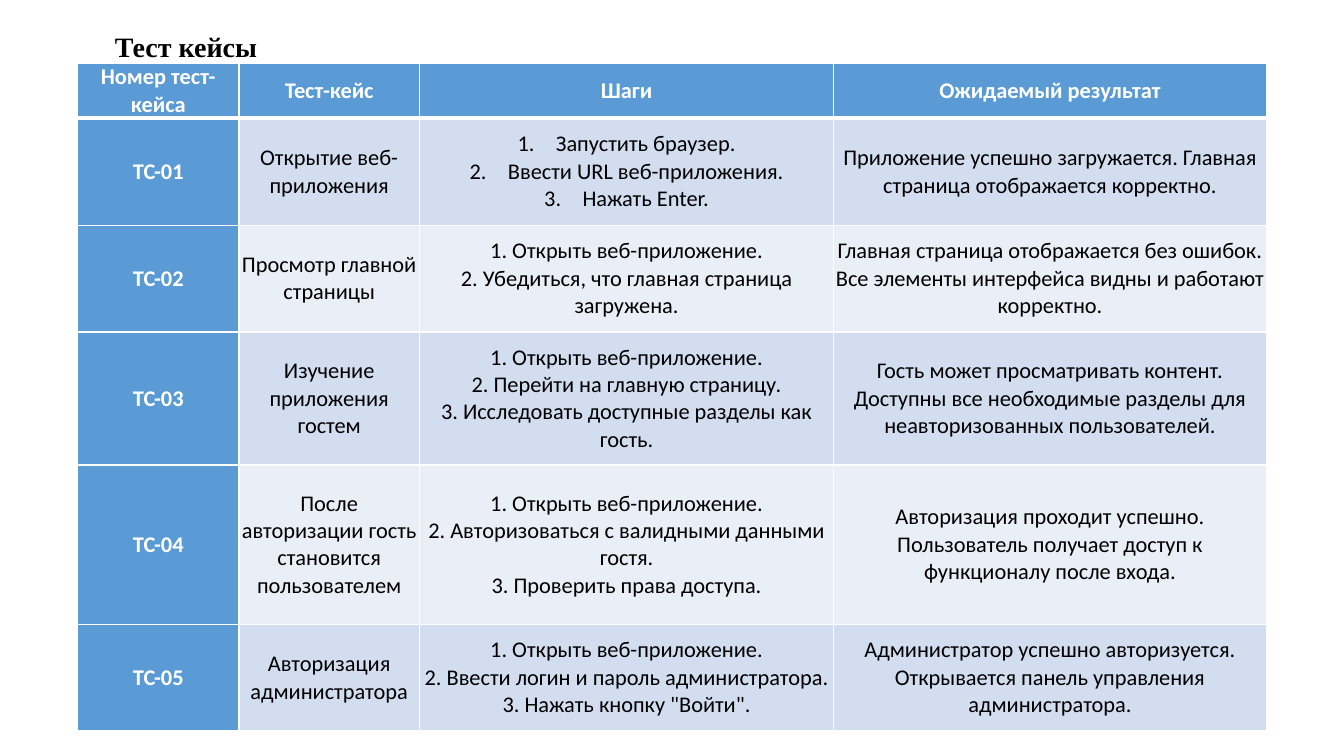
from dataclasses import dataclass

from lxml import etree
from pptx import Presentation
from pptx.dml.color import RGBColor
from pptx.enum.text import MSO_ANCHOR, MSO_AUTO_SIZE, PP_ALIGN
from pptx.oxml.ns import qn
from pptx.slide import Slide
from pptx.table import _Cell
from pptx.util import Inches, Pt

CENTER = PP_ALIGN.CENTER
LEFT = PP_ALIGN.LEFT
MIDDLE = MSO_ANCHOR.MIDDLE
TOP = MSO_ANCHOR.TOP
NO_AUTOFIT = MSO_AUTO_SIZE.NONE
TITLE_ONLY = 5


@dataclass(frozen=True)
class Theme:
    accent: str = "5B9BD5"
    bands: tuple[str, str] = ("D2DEEF", "EAEFF7")
    white: str = "FFFFFF"
    black: str = "000000"
    title_font: str = "Times New Roman"
    table_font: str = "Calibri"
    title_size: int = 20
    table_size: int = 16
    thin_border: int = 1
    thick_border: int = 3


@dataclass(frozen=True)
class TestCase:
    number: str
    name: str
    steps: tuple[str, ...]
    result: str
    height: float = 1.06
    numbered: bool = False


THEME = Theme()
HEADER = ("Номер тест-кейса", "Тест-кейс", "Шаги", "Ожидаемый результат")
HEADER_HEIGHT = 0.53
COLUMN_WIDTHS = (1.6, 1.79, 4.11, 4.29)
OPEN_STEP = "1. Открыть веб-приложение."
TEST_CASES = (
    TestCase(
        "TC-01", "Открытие веб-приложения",
        ("Запустить браузер.", "Ввести URL веб-приложения.", "Нажать Enter."),
        "Приложение успешно загружается. Главная страница отображается корректно.",
        numbered=True,
    ),
    TestCase(
        "TC-02", "Просмотр главной страницы",
        (OPEN_STEP, "2. Убедиться, что главная страница загружена."),
        "Главная страница отображается без ошибок. "
        "Все элементы интерфейса видны и работают корректно.",
    ),
    TestCase(
        "TC-03", "Изучение приложения гостем",
        (OPEN_STEP, "2. Перейти на главную страницу.",
         "3. Исследовать доступные разделы как гость."),
        "Гость может просматривать контент. "
        "Доступны все необходимые разделы для неавторизованных пользователей.",
        height=1.32,
    ),
    TestCase(
        "TC-04", "После авторизации гость становится пользователем",
        (OPEN_STEP, "2. Авторизоваться с валидными данными гостя.",
         "3. Проверить права доступа."),
        "Авторизация проходит успешно. "
        "Пользователь получает доступ к функционалу после входа.",
        height=1.58,
    ),
    TestCase(
        "TC-05", "Авторизация администратора",
        (OPEN_STEP, "2. Ввести логин и пароль администратора.",
         '3. Нажать кнопку "Войти".'),
        "Администратор успешно авторизуется. "
        "Открывается панель управления администратора.",
    ),
)


def set_attributes(target: object, values: dict) -> None:
    for name, value in values.items():
        setattr(target, name, value)


def format_font(font: object, name: str, size: int, color: str, bold: bool) -> None:
    set_attributes(font, {"name": name, "size": Pt(size), "bold": bold})
    font.color.rgb = RGBColor.from_string(color)


def add_title(slide: Slide, text: str) -> None:
    title = slide.shapes.title
    set_attributes(title, {
        "left": Inches(0.55), "top": Inches(0.08),
        "width": Inches(7.99), "height": Inches(0.55),
    })
    set_attributes(title.text_frame, {
        "text": text, "word_wrap": True,
        "auto_size": NO_AUTOFIT, "vertical_anchor": TOP,
    })
    paragraph = title.text_frame.paragraphs[0]
    set_attributes(paragraph, {"alignment": LEFT, "line_spacing": 1.5})
    paragraph._p.get_or_add_pPr().set("indent", str(Inches(0.49)))
    format_font(paragraph.runs[0].font, THEME.title_font, THEME.title_size, THEME.black, True)


def add_borders(cell: _Cell, top: int, bottom: int) -> None:
    thin = THEME.thin_border
    properties = cell._tc.get_or_add_tcPr()
    for tag, width in (("lnL", thin), ("lnR", thin), ("lnT", top), ("lnB", bottom)):
        line = etree.SubElement(properties, qn(f"a:{tag}"), w=str(Pt(width)))
        fill = etree.SubElement(line, qn("a:solidFill"))
        etree.SubElement(fill, qn("a:srgbClr"), val=THEME.white)


def fill_cell(cell: _Cell, lines: tuple[str, ...], row: int, column: int, numbered: bool) -> None:
    thin, thick = THEME.thin_border, THEME.thick_border
    add_borders(cell, thick if row == 1 else thin, thick if row == 0 else thin)
    heading = row == 0 or column == 0
    background = THEME.accent if heading else THEME.bands[(row - 1) % 2]
    cell.fill.solid()
    cell.fill.fore_color.rgb = RGBColor.from_string(background)
    set_attributes(cell, {
        "vertical_anchor": MIDDLE,
        "margin_left": Inches(0.02), "margin_right": Inches(0.02),
        "margin_top": 0, "margin_bottom": 0,
    })
    cell.text = "\n".join(lines)
    for paragraph in cell.text_frame.paragraphs:
        paragraph.alignment = CENTER
        if numbered:
            properties = paragraph._p.get_or_add_pPr()
            properties.set("marL", str(Inches(0.38)))
            properties.set("indent", str(Inches(-0.38)))
            etree.SubElement(properties, qn("a:buAutoNum"), type="arabicPeriod")
        format_font(paragraph.runs[0].font, THEME.table_font, THEME.table_size,
                    THEME.white if heading else THEME.black, heading)


def add_test_table(slide: Slide) -> None:
    heights = (HEADER_HEIGHT, *(case.height for case in TEST_CASES))
    table = slide.shapes.add_table(
        len(heights), len(COLUMN_WIDTHS), Inches(0.77), Inches(0.63),
        Inches(sum(COLUMN_WIDTHS)), Inches(sum(heights)),
    ).table
    for column, width in zip(table.columns, COLUMN_WIDTHS):
        column.width = Inches(width)
    for row, height in zip(table.rows, heights):
        row.height = Inches(height)
    for column, text in enumerate(HEADER):
        fill_cell(table.cell(0, column), (text,), 0, column, False)
    for row, case in enumerate(TEST_CASES, start=1):
        contents = ((case.number,), (case.name,), case.steps, (case.result,))
        for column, lines in enumerate(contents):
            numbered = case.numbered and lines is case.steps
            fill_cell(table.cell(row, column), lines, row, column, numbered)


def main() -> None:
    presentation = Presentation()
    set_attributes(presentation, {"slide_width": Inches(13.33), "slide_height": Inches(7.5)})
    slide = presentation.slides.add_slide(presentation.slide_layouts[TITLE_ONLY])
    add_title(slide, "Тест кейсы")
    add_test_table(slide)
    presentation.save("out.pptx")


if __name__ == "__main__":
    main()
